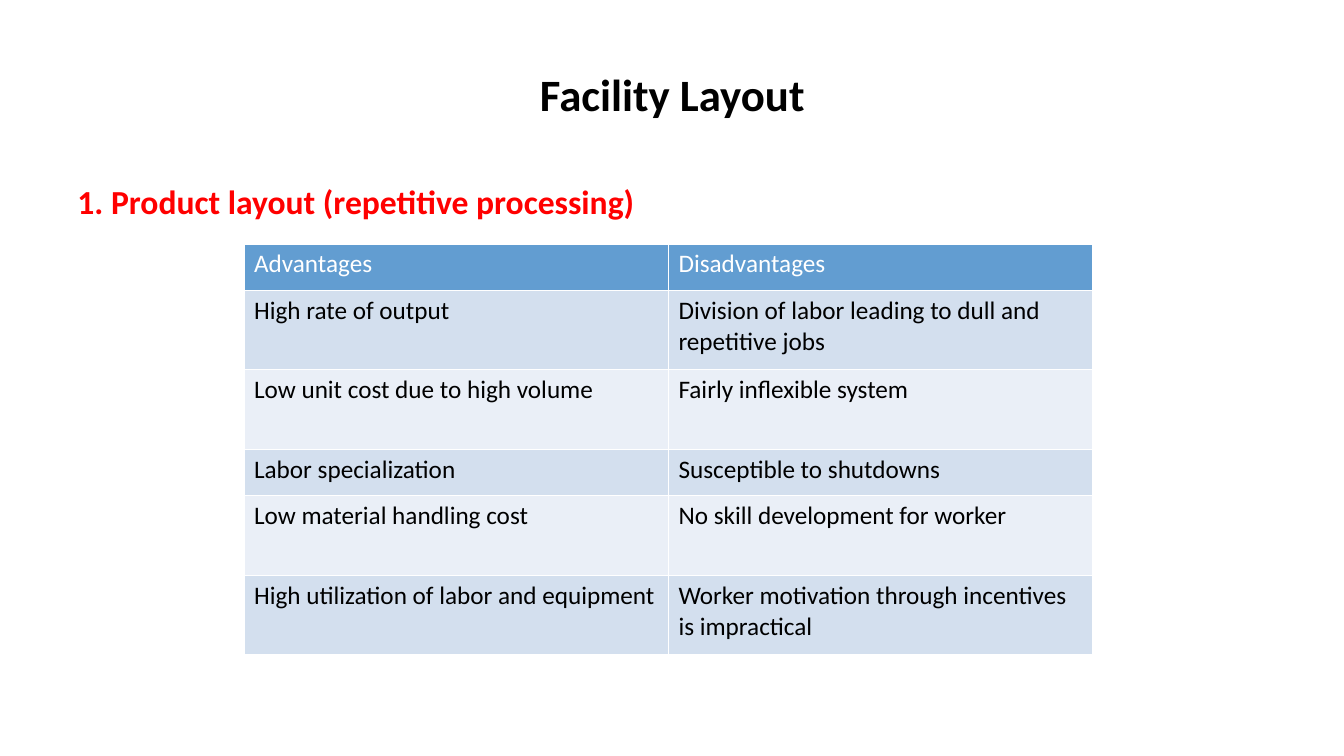
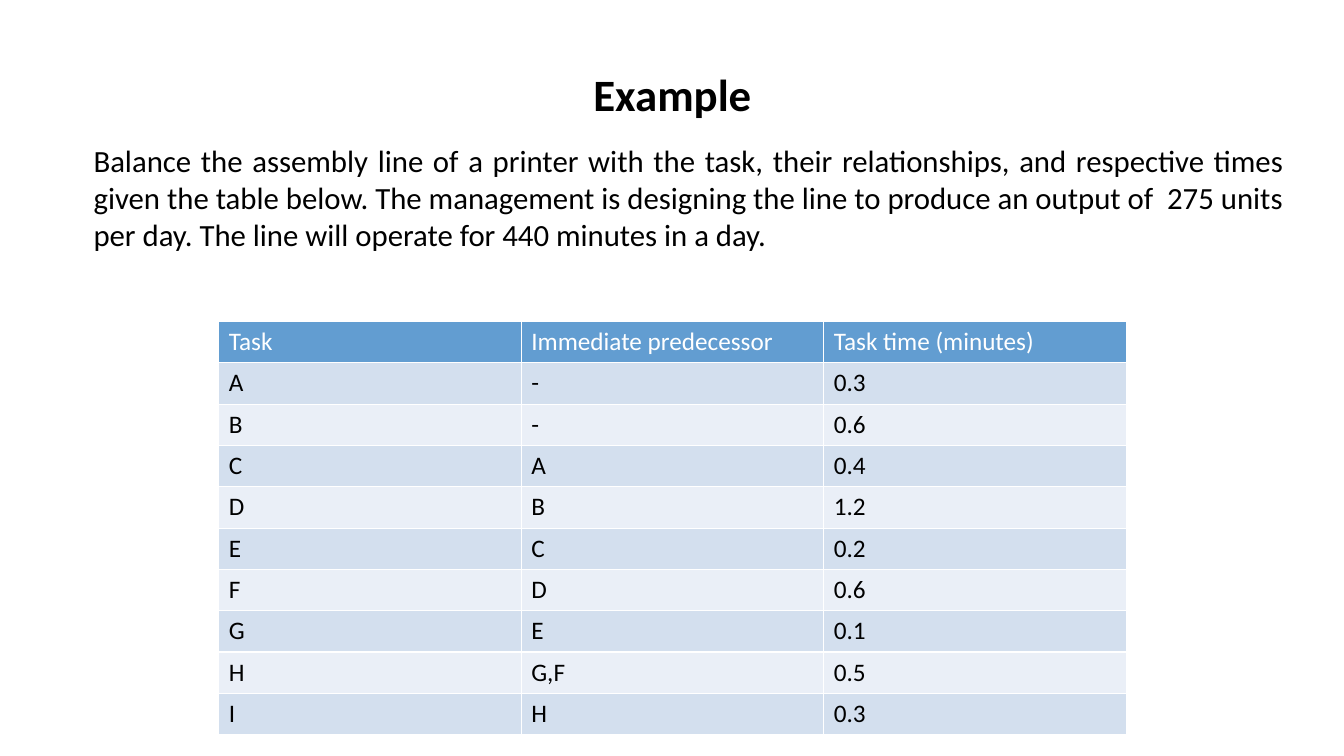
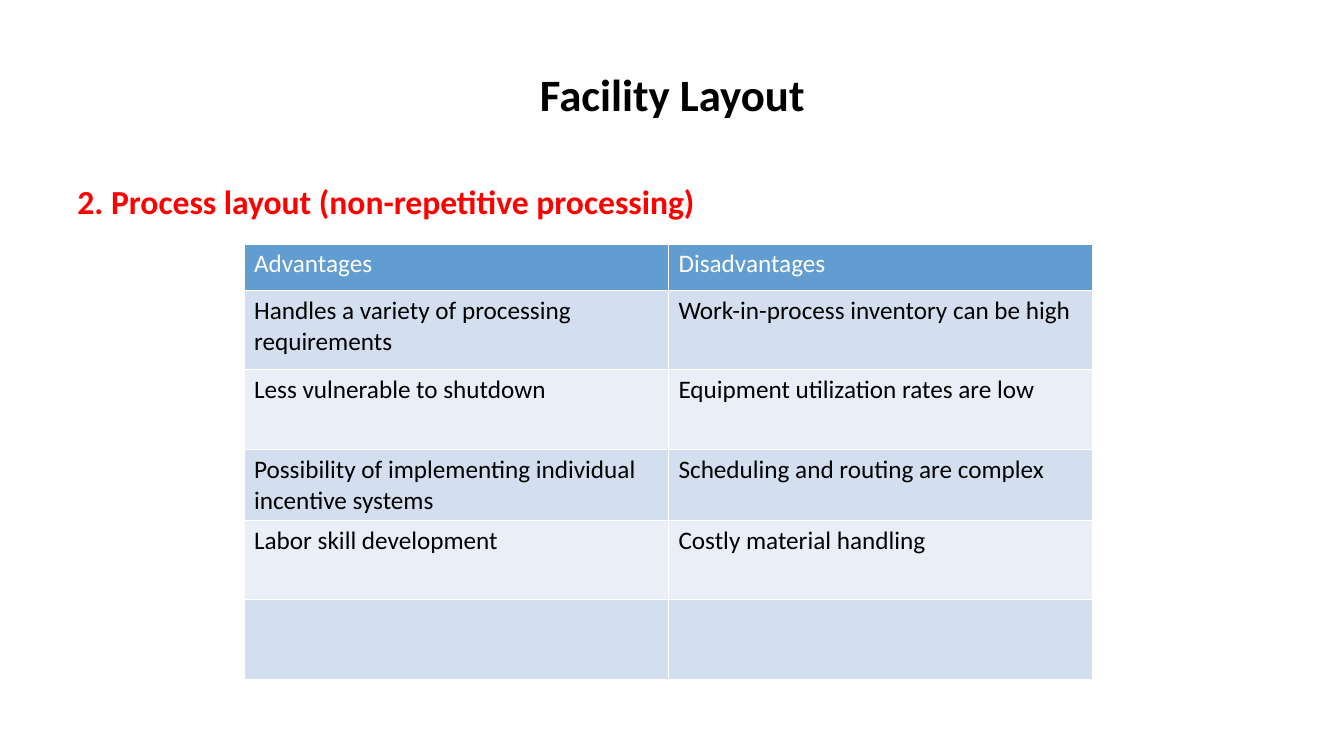
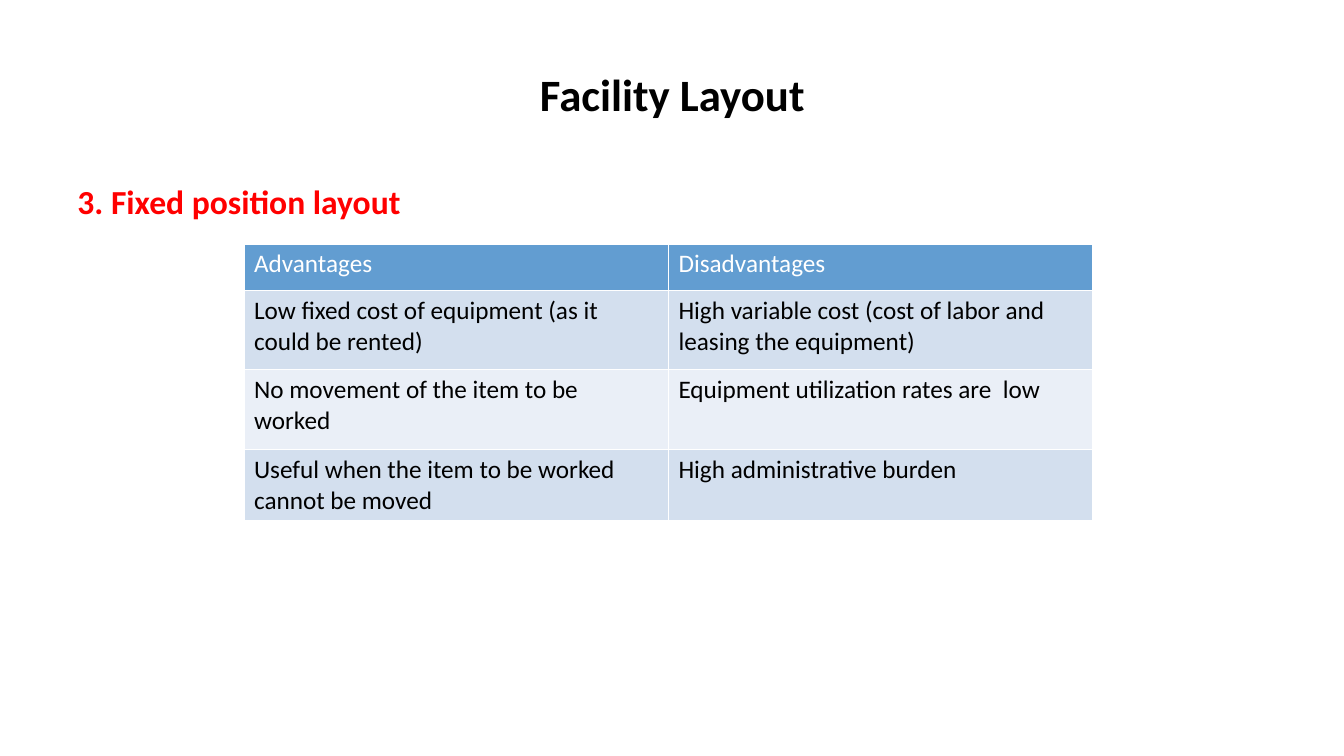
from dataclasses import dataclass

from pptx import Presentation
from pptx.dml.color import RGBColor
from pptx.enum import text
from pptx.util import Inches, Pt


@dataclass(frozen=True)
class Theme:
    font: str = "Calibri"
    black: str = "000000"
    white: str = "FFFFFF"
    heading: str = "FF0000"
    header_fill: str = "629DD1"
    bands: tuple = ("D3DFEE", "EAEFF7")
    title_size: int = 32
    heading_size: int = 24
    body_size: int = 22
    table_size: int = 18


THEME = Theme()
LAYOUT_HEADER = ("Advantages", "Disadvantages")
LAYOUT_HEIGHTS = (0.46, 0.79, 0.79, 0.46, 0.79, 0.79)

LAYOUTS = [
    ("1. Product layout (repetitive processing)", [
        ("High rate of output",
         "Division of labor leading to dull and repetitive jobs"),
        ("Low unit cost due to high volume", "Fairly inflexible system"),
        ("Labor specialization", "Susceptible to shutdowns"),
        ("Low material handling cost", "No skill development for worker"),
        ("High utilization of labor and equipment",
         "Worker motivation through incentives is impractical"),
    ]),
    ("2. Process layout (non-repetitive processing)", [
        ("Handles a variety of processing requirements",
         "Work-in-process inventory can be high"),
        ("Less vulnerable to shutdown", "Equipment utilization rates are low"),
        ("Possibility of implementing individual incentive systems",
         "Scheduling and routing are complex"),
        ("Labor skill development", "Costly material handling"),
        ("", ""),
    ]),
    ("3. Fixed position layout", [
        ("Low fixed cost of equipment (as it could be rented)",
         "High variable cost (cost of labor and leasing the equipment)"),
        ("No movement of the item to be worked",
         "Equipment utilization rates are  low"),
        ("Useful when the item to be worked cannot be moved",
         "High administrative burden"),
    ]),
]

EXERCISE = (
    "Balance the assembly line of a printer with the task, their relationships, "
    "and respective times given the table below. The management is designing the "
    "line to produce an output of  275 units per day. The line will operate for "
    "440 minutes in a day."
)
TASKS = [
    ("Task", "Immediate predecessor", "Task time (minutes)"),
    ("A", "-", "0.3"),
    ("B", "-", "0.6"),
    ("C", "A", "0.4"),
    ("D", "B", "1.2"),
    ("E", "C", "0.2"),
    ("F", "D", "0.6"),
    ("G", "E", "0.1"),
    ("H", "G,F", "0.5"),
    ("I", "H", "0.3"),
]


def style_paragraph(p, size, color, bold=False):
    p.font.name = THEME.font
    p.font.size = Pt(size)
    p.font.bold = bold
    p.font.color.rgb = RGBColor.from_string(color)


def add_text(s, content, box, size, color=THEME.black, bold=False,
             align=text.PP_ALIGN.LEFT, anchor=text.MSO_ANCHOR.TOP):
    tf = s.shapes.add_textbox(*map(Inches, box)).text_frame
    tf.word_wrap = True
    tf.vertical_anchor = anchor
    p = tf.paragraphs[0]
    p.text = content
    p.alignment = align
    style_paragraph(p, size, color, bold)


def add_titled_slide(prs, title):
    s = prs.slides.add_slide(prs.slide_layouts[6])
    add_text(s, title, (0.67, 0.3, 12, 1.25), THEME.title_size, bold=True,
             align=text.PP_ALIGN.CENTER, anchor=text.MSO_ANCHOR.MIDDLE)
    return s


def add_banded_table(s, rows, left, top, width, heights):
    """Draw a table whose first row is the header and whose columns are equal."""
    columns = len(rows[0])
    frame = s.shapes.add_table(len(rows), columns, Inches(left), Inches(top),
                               Inches(width), Inches(sum(heights)))
    table = frame.table
    for column in table.columns:
        column.width = Inches(width / columns)
    for i, (values, height) in enumerate(zip(rows, heights)):
        table.rows[i].height = Inches(height)
        fill = THEME.bands[(i - 1) % 2] if i else THEME.header_fill
        color = THEME.black if i else THEME.white
        for j, value in enumerate(values):
            cell = table.cell(i, j)
            cell.text = value
            cell.fill.solid()
            cell.fill.fore_color.rgb = RGBColor.from_string(fill)
            style_paragraph(cell.text_frame.paragraphs[0], THEME.table_size, color)


def add_layout_slide(prs, heading, pairs):
    s = add_titled_slide(prs, "Facility Layout")
    add_text(s, heading, (0.67, 1.75, 12, 4.95), THEME.heading_size,
             THEME.heading, bold=True)
    rows = [LAYOUT_HEADER, *pairs]
    add_banded_table(s, rows, 2.42, 2.42, 8.42, LAYOUT_HEIGHTS[:len(rows)])


def add_example_slide(prs):
    s = add_titled_slide(prs, "Example")
    add_banded_table(s, TASKS, 2.17, 3.19, 9, [0.41] * len(TASKS))
    add_text(s, EXERCISE, (0.83, 1.36, 12, 1.21), THEME.body_size,
             align=text.PP_ALIGN.JUSTIFY)


def main():
    prs = Presentation()
    prs.slide_width, prs.slide_height = Inches(13.33), Inches(7.5)
    product, process, fixed = LAYOUTS
    add_layout_slide(prs, *product)
    add_example_slide(prs)
    add_layout_slide(prs, *process)
    add_layout_slide(prs, *fixed)
    prs.save("out.pptx")


if __name__ == "__main__":
    main()
